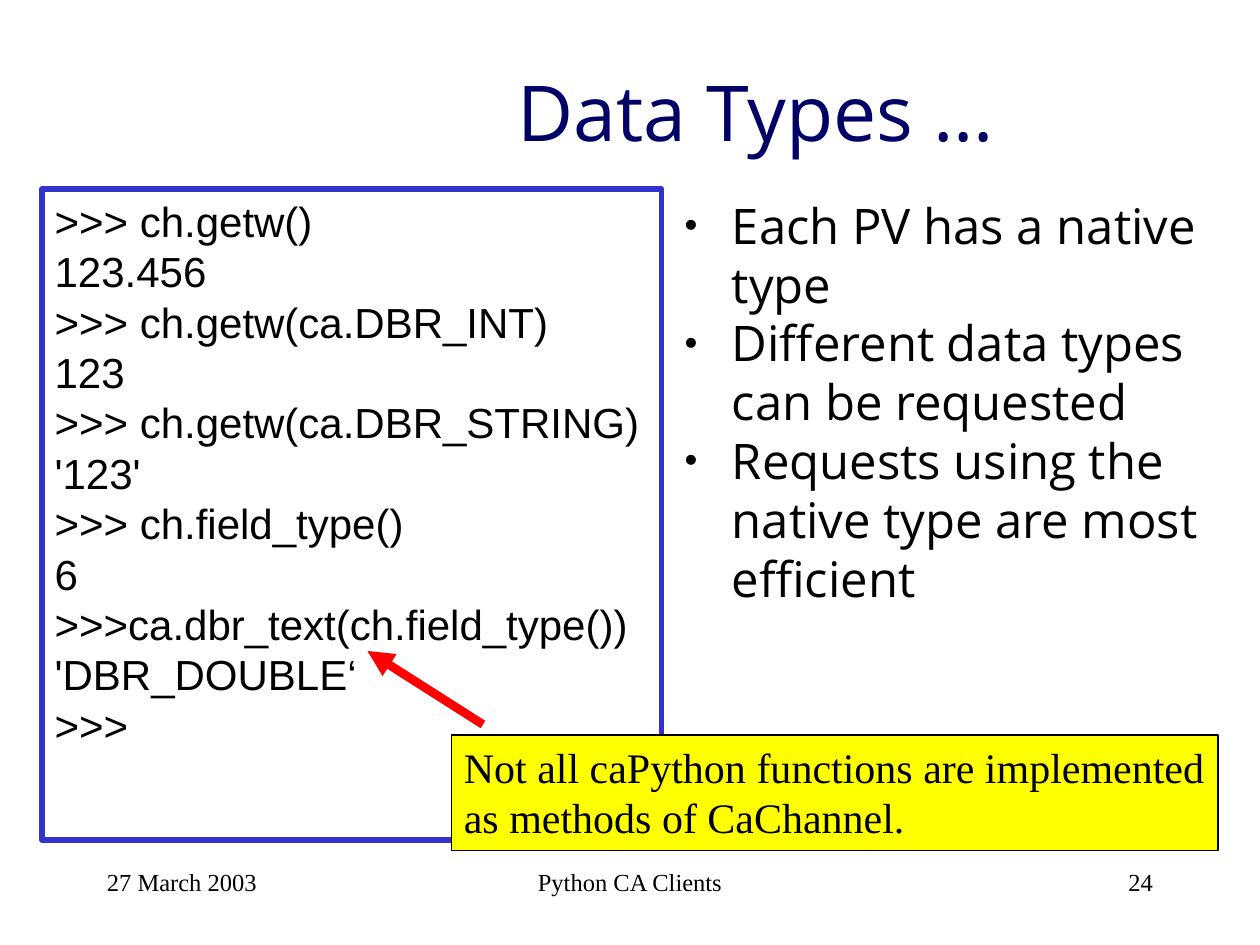
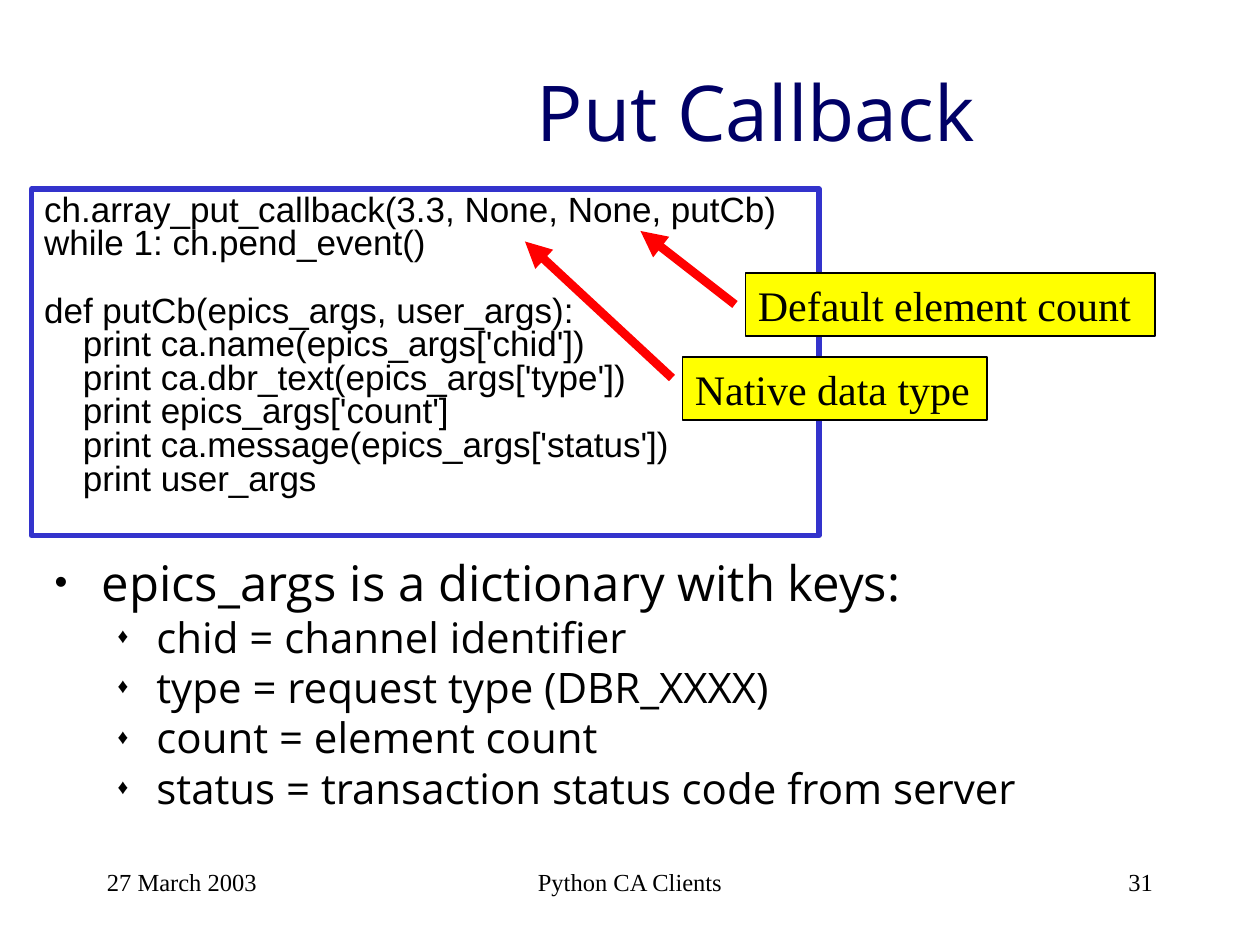
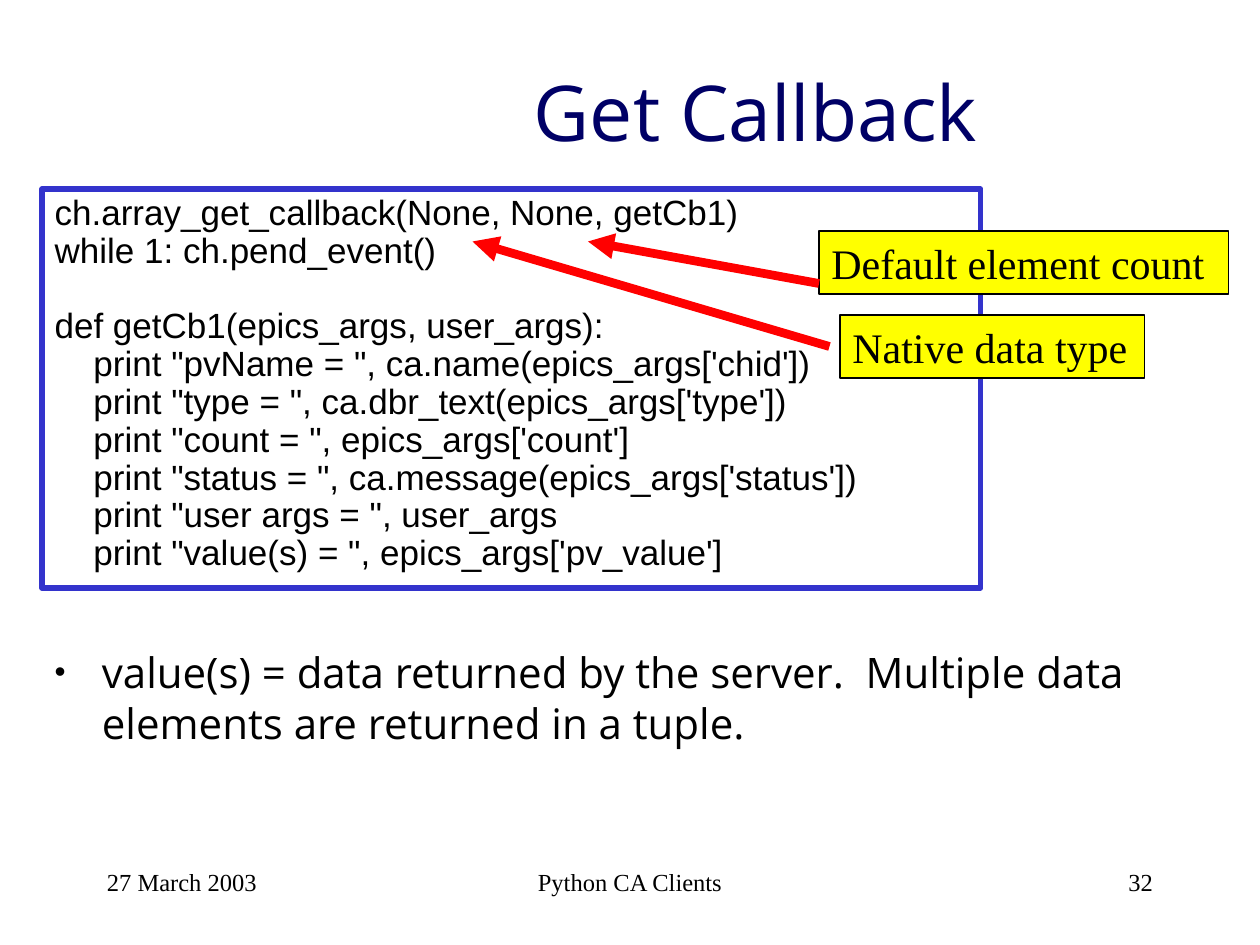
from dataclasses import dataclass

from lxml.etree import SubElement
from pptx import Presentation
from pptx.dml.color import RGBColor
from pptx.enum.shapes import MSO_CONNECTOR, MSO_SHAPE
from pptx.enum.text import MSO_ANCHOR, MSO_AUTO_SIZE, PP_ALIGN
from pptx.oxml.ns import qn
from pptx.util import Pt

EMU_PER_PX = 7620  # 120 px to the inch
SLIDE_SIZE = (1200, 900)
TWO_CONTENT_LAYOUT = 3


@dataclass(frozen=True)
class Theme:
    ink: str = "000000"
    title: str = "000066"
    code_border: str = "3333CC"
    callout_fill: str = "FFFF00"
    arrow: str = "FF0000"
    heading_font: str = "Open Sans"
    code_font: str = "Arial"
    note_font: str = "Times New Roman"
    title_size: int = 44
    list_size: int = 28
    sub_size: int = 24
    code_size: int = 24
    small_code_size: int = 20
    callout_size: int = 24
    footer_size: int = 14


THEME = Theme()

# Per list level: bullet, its size in percent, left margin, hanging indent
BULLETS = (("•", 75, 45, 45), ("♦", 50, 97, 37))

FOOTER_TOP, FOOTER_HEIGHT = 820, 60
DATE, EVENT = "27 March 2003", "Python CA Clients"

TYPES_CODE = """\
>>> ch.getw()
123.456
>>> ch.getw(ca.DBR_INT)
123
>>> ch.getw(ca.DBR_STRING)
'123'
>>> ch.field_type()
6
>>>ca.dbr_text(ch.field_type())
'DBR_DOUBLE‘
>>>"""

PUT_CODE = """\
ch.array_put_callback(3.3, None, None, putCb)
while 1: ch.pend_event()

def putCb(epics_args, user_args):
    print ca.name(epics_args['chid'])
    print ca.dbr_text(epics_args['type'])
    print epics_args['count']
    print ca.message(epics_args['status'])
    print user_args"""

GET_CODE = """\
ch.array_get_callback(None, None, getCb1)
while 1: ch.pend_event()

def getCb1(epics_args, user_args):
    print "pvName = ", ca.name(epics_args['chid'])
    print "type = ", ca.dbr_text(epics_args['type'])
    print "count = ", epics_args['count']
    print "status = ", ca.message(epics_args['status'])
    print "user args = ", user_args
    print "value(s) = ", epics_args['pv_value']"""


def px(length):
    return length * EMU_PER_PX


def rgb(color):
    return RGBColor.from_string(color)


def place(shape, box):
    shape.left, shape.top, shape.width, shape.height = map(px, box)


def set_line(shape, color, width):
    shape.line.color.rgb = rgb(color)
    shape.line.width = Pt(width)


def prepare_frame(shape, anchor=MSO_ANCHOR.TOP):
    """Return the shape's text frame, wrapping and with the shared insets."""
    frame = shape.text_frame
    frame.word_wrap = True
    frame.auto_size = MSO_AUTO_SIZE.NONE
    frame.vertical_anchor = anchor
    frame.margin_left = frame.margin_right = px(12)
    frame.margin_top = frame.margin_bottom = px(6)
    return frame


def paragraphs_for(frame, items):
    """Yield a paragraph of the frame with each item."""
    for index, item in enumerate(items):
        paragraph = frame.paragraphs[0] if index == 0 else frame.add_paragraph()
        paragraph.space_before = Pt(0)
        yield paragraph, item


def add_run(paragraph, text, font, size, color=THEME.ink):
    run = paragraph.add_run()
    run.text = text
    run.font.name = font
    run.font.size = Pt(size)
    run.font.color.rgb = rgb(color)


def set_bullet(paragraph, level):
    character, percent, margin, hanging = BULLETS[level]
    paragraph.level = level
    properties = paragraph._p.get_or_add_pPr()
    properties.set("marL", str(px(margin)))
    properties.set("indent", str(-px(hanging)))
    color = SubElement(properties, qn("a:buClr"))
    SubElement(color, qn("a:srgbClr"), val=THEME.ink)
    SubElement(properties, qn("a:buSzPct"), val=str(percent * 1000))
    SubElement(properties, qn("a:buChar"), char=character)


def clear_bullet(paragraph):
    properties = paragraph._p.get_or_add_pPr()
    properties.set("marL", "0")
    properties.set("indent", "0")
    SubElement(properties, qn("a:buNone"))


def fill_title(slide, text):
    title = slide.shapes.title
    place(title, (280, 30, 880, 150))
    paragraph = prepare_frame(title, MSO_ANCHOR.MIDDLE).paragraphs[0]
    paragraph.alignment = PP_ALIGN.CENTER
    add_run(paragraph, text, THEME.heading_font, THEME.title_size, THEME.title)


def fill_list(slide, box, entries):
    """Fill the first body with (level, size, text) entries."""
    body = slide.placeholders[1]
    place(body, box)
    for paragraph, (level, size, text) in paragraphs_for(prepare_frame(body), entries):
        set_bullet(paragraph, level)
        add_run(paragraph, text, THEME.heading_font, size)


def fill_code(slide, box, code, size, spacing=1.0):
    """Fill the second body with framed code lines."""
    body = slide.placeholders[2]
    place(body, box)
    set_line(body, THEME.code_border, 3)
    for paragraph, line in paragraphs_for(prepare_frame(body), code.splitlines()):
        paragraph.line_spacing = spacing
        clear_bullet(paragraph)
        if line:
            add_run(paragraph, line, THEME.code_font, size)
        else:
            paragraph._p.get_or_add_endParaRPr().set("sz", str(size * 100))


def add_callout(slide, box, text):
    callout = slide.shapes.add_shape(MSO_SHAPE.RECTANGLE, *map(px, box))
    callout.shadow.inherit = False
    callout.fill.solid()
    callout.fill.fore_color.rgb = rgb(THEME.callout_fill)
    set_line(callout, THEME.ink, 0.75)
    paragraph = prepare_frame(callout).paragraphs[0]
    paragraph.alignment = PP_ALIGN.LEFT
    add_run(paragraph, text, THEME.note_font, THEME.callout_size)


def add_arrow(slide, start, end):
    arrow = slide.shapes.add_connector(MSO_CONNECTOR.STRAIGHT, *map(px, start + end))
    set_line(arrow, THEME.arrow, 5)
    SubElement(arrow.line._get_or_add_ln(), qn("a:tailEnd"), type="triangle")
    SubElement(arrow._element.spPr, qn("a:effectLst"))


def add_argument_callouts(slide, native_corner, default_corner):
    """Label the two None arguments of a callback call."""
    add_callout(slide, (*native_corner, 290, 60), "Native data type")
    add_callout(slide, (*default_corner, 390, 60), "Default element count")


def add_footer(slide, number):
    for left, width, alignment, text in (
        (410, 380, PP_ALIGN.CENTER, EVENT),
        (860, 250, PP_ALIGN.RIGHT, str(number)),
        (90, 250, PP_ALIGN.LEFT, DATE),
    ):
        box = (left, FOOTER_TOP, width, FOOTER_HEIGHT)
        textbox = slide.shapes.add_textbox(*map(px, box))
        paragraph = prepare_frame(textbox).paragraphs[0]
        paragraph.alignment = alignment
        add_run(paragraph, text, THEME.note_font, THEME.footer_size)


def add_slide(presentation, title, number):
    slide = presentation.slides.add_slide(presentation.slide_layouts[TWO_CONTENT_LAYOUT])
    fill_title(slide, title)
    add_footer(slide, number)
    return slide


def build_data_types(presentation):
    slide = add_slide(presentation, "Data Types …", 24)
    fill_code(slide, (40, 180, 590, 620), TYPES_CODE, THEME.code_size)
    fill_list(slide, (640, 180, 520, 620), [
        (0, THEME.list_size, "Each PV has a native type"),
        (0, THEME.list_size, "Different data types can be requested"),
        (0, THEME.list_size, "Requests using the native type are most efficient"),
    ])
    add_callout(slide, (430, 700, 730, 110),
                "Not all caPython functions are implemented as methods of CaChannel.")
    add_arrow(slide, (460, 690), (350, 620))


def build_put_callback(presentation):
    slide = add_slide(presentation, "Put Callback", 31)
    fill_list(slide, (40, 520, 1120, 280), [
        (0, THEME.list_size, "epics_args is a dictionary with keys:"),
        (1, THEME.sub_size, "chid = channel identifier"),
        (1, THEME.sub_size, "type = request type (DBR_XXXX)"),
        (1, THEME.sub_size, "count = element count"),
        (1, THEME.sub_size, "status = transaction status code from server"),
    ])
    fill_code(slide, (30, 180, 750, 330), PUT_CODE, THEME.small_code_size, 0.8)
    add_argument_callouts(slide, (650, 340), (710, 260))
    add_arrow(slide, (640, 360), (500, 230))
    add_arrow(slide, (700, 290), (610, 220))


def build_get_callback(presentation):
    slide = add_slide(presentation, "Get Callback", 32)
    fill_list(slide, (40, 610, 1120, 162), [
        (0, THEME.sub_size, "value(s) = data returned by the server.  "
                            "Multiple data elements are returned in a tuple."),
    ])
    fill_code(slide, (40, 180, 894, 380), GET_CODE, THEME.small_code_size, 0.9)
    add_argument_callouts(slide, (800, 300), (780, 220))
    add_arrow(slide, (790, 330), (450, 230))
    add_arrow(slide, (780, 270), (560, 230))


def main():
    presentation = Presentation()
    presentation.slide_width, presentation.slide_height = map(px, SLIDE_SIZE)
    build_data_types(presentation)
    build_put_callback(presentation)
    build_get_callback(presentation)
    presentation.save("out.pptx")


if __name__ == "__main__":
    main()
